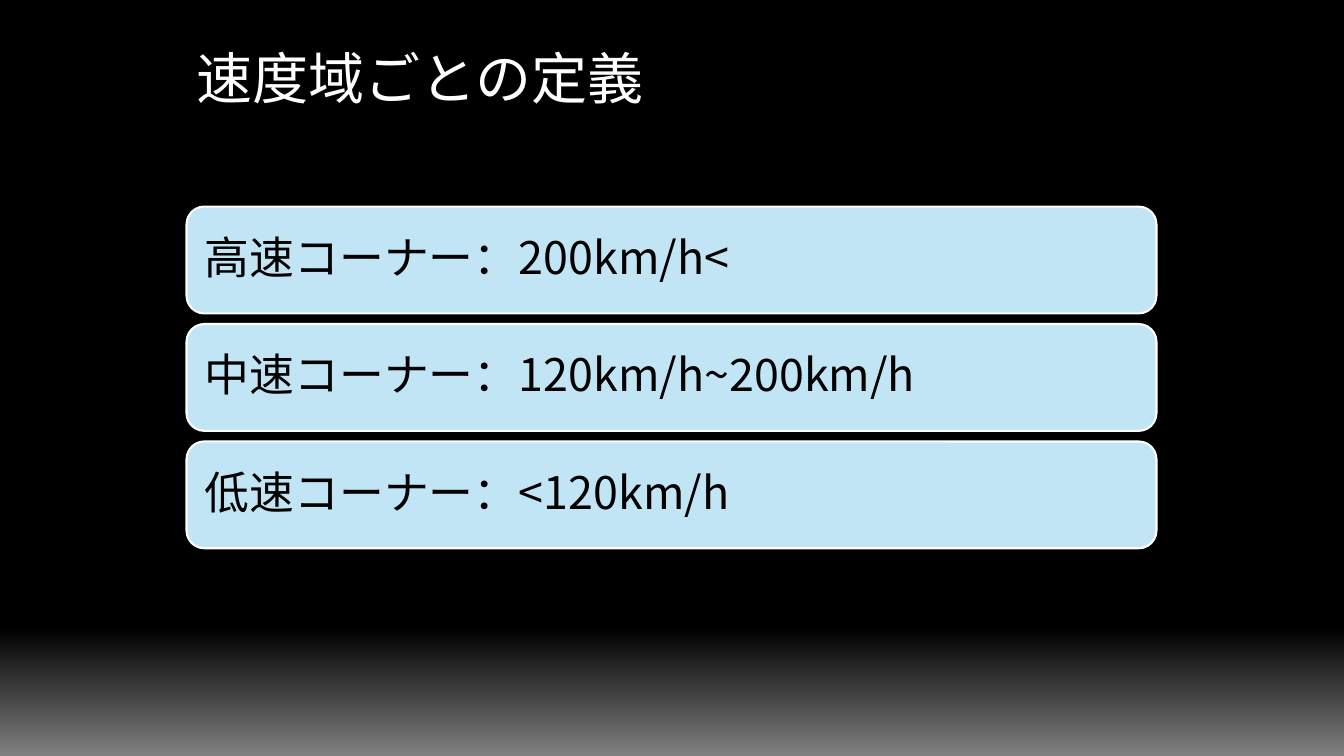
from pptx import Presentation
from pptx.dml.color import RGBColor
from pptx.enum.shapes import MSO_SHAPE
from pptx.enum.text import MSO_ANCHOR, MSO_AUTO_SIZE, PP_ALIGN
from pptx.oxml.ns import qn
from pptx.util import Inches, Pt
from lxml.etree import SubElement

BLACK = RGBColor(0x00, 0x00, 0x00)
GRAY = RGBColor(0x80, 0x80, 0x80)
WHITE = RGBColor(0xFF, 0xFF, 0xFF)
PALE_BLUE = RGBColor(0xC1, 0xE5, 0xF5)
FONT = "Noto Sans CJK JP"
LEFT = 1.85
CORNERS = [
    "高速コーナー：200km/h<",
    "中速コーナー：120km/h~200km/h",
    "低速コーナー：<120km/h",
]


def set_format(target, values):
    """Set each named attribute of the target."""
    for name, value in values.items():
        setattr(target, name, value)


def set_background(s):
    """Fill the slide with black that fades to gray at the bottom."""
    fill = s.background.fill
    fill.gradient()
    fill.gradient_angle = 270
    for stop, position, color in zip(fill.gradient_stops, (0.83, 1), (BLACK, GRAY)):
        stop.position = position
        stop.color.rgb = color


def write_text(tf, text, size, color):
    """Write one left-aligned paragraph and return it."""
    p = tf.paragraphs[0]
    p.alignment = PP_ALIGN.LEFT
    r = p.add_run()
    r.text = text
    set_format(r.font, {"name": FONT, "size": Pt(size)})
    r.font.color.rgb = color
    SubElement(r.font._element, qn("a:ea")).set("typeface", FONT)
    return p


def add_title(s, text):
    """Add the slide title."""
    sp = s.shapes.add_textbox(Inches(LEFT), Inches(0.38), Inches(5.99), Inches(0.77))
    set_format(sp.text_frame, {"word_wrap": True, "auto_size": MSO_AUTO_SIZE.SHAPE_TO_FIT_TEXT})
    write_text(sp.text_frame, text, 40, WHITE)


def add_bar(s, top, text):
    """Add a rounded bar that holds one definition."""
    sp = s.shapes.add_shape(MSO_SHAPE.ROUNDED_RECTANGLE, Inches(LEFT), Inches(top),
                            Inches(9.62), Inches(1.06))
    sp.shadow.inherit = False
    sp.fill.solid()
    sp.fill.fore_color.rgb = PALE_BLUE
    sp.line.color.rgb = WHITE
    sp.line.width = Pt(1.5)
    inset = Inches(0.13)
    set_format(sp.text_frame, {
        "word_wrap": True, "vertical_anchor": MSO_ANCHOR.MIDDLE,
        "margin_left": inset, "margin_right": inset,
        "margin_top": inset, "margin_bottom": inset,
    })
    p = write_text(sp.text_frame, text, 32, BLACK)
    set_format(p, {"line_spacing": 0.9, "space_after": Pt(11)})


def main():
    """Build the slide and save it."""
    prs = Presentation()
    set_format(prs, {"slide_width": Inches(13.33), "slide_height": Inches(7.5)})
    s = prs.slides.add_slide(prs.slide_layouts[6])
    set_background(s)
    add_title(s, "速度域ごとの定義")
    for i, text in enumerate(CORNERS):
        add_bar(s, 2.05 + 1.165 * i, text)
    prs.save("out.pptx")


if __name__ == "__main__":
    main()
